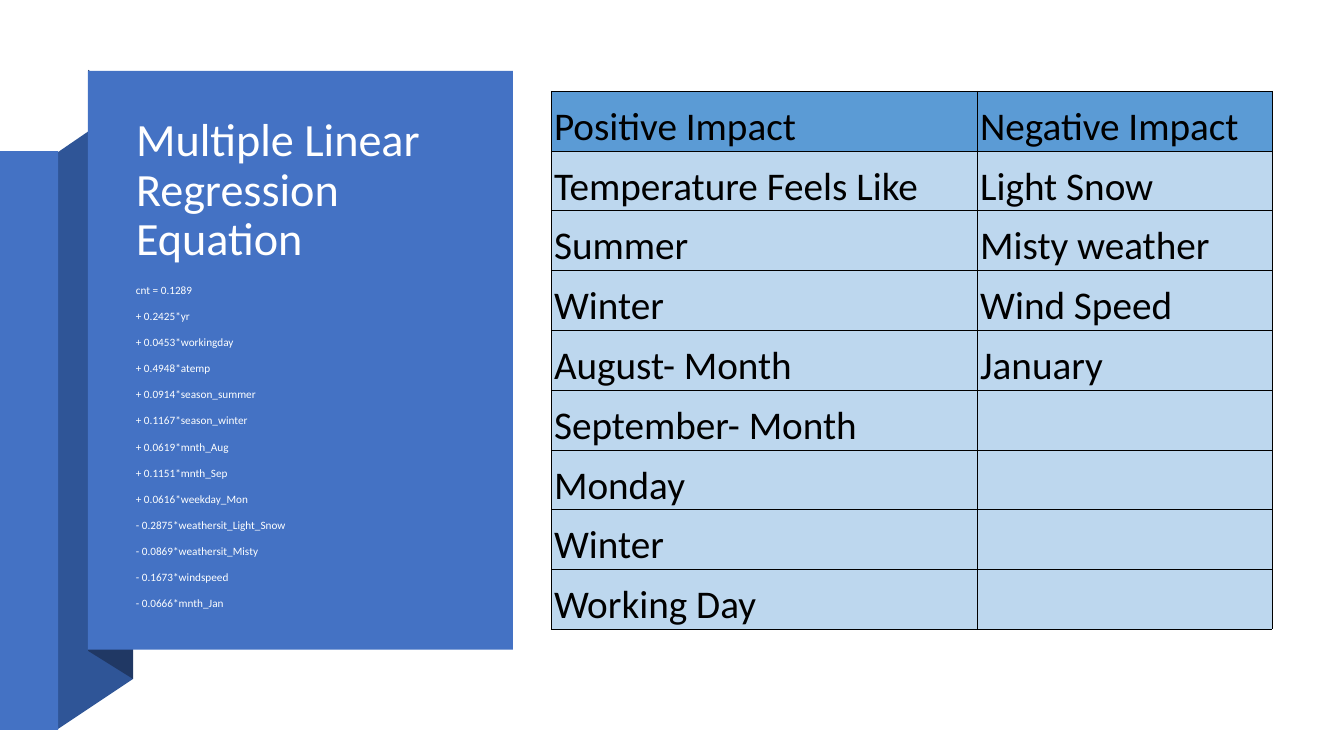
from lxml import etree
from pptx import Presentation
from pptx.dml.color import RGBColor
from pptx.enum.shapes import MSO_SHAPE
from pptx.enum.text import MSO_ANCHOR, MSO_AUTO_SIZE, PP_ALIGN
from pptx.oxml.ns import qn
from pptx.util import Pt

RECTANGLE = MSO_SHAPE.RECTANGLE
MIDDLE, BOTTOM = MSO_ANCHOR.MIDDLE, MSO_ANCHOR.BOTTOM
NO_AUTOFIT = MSO_AUTO_SIZE.NONE
LEFT = PP_ALIGN.LEFT

FONT = "Calibri"
COLORS = {
    "panel": "4472C4", "ribbon": "2F5597", "fold": "203864",
    "title": "FFFFFF", "equation": "FEFFFF", "cell_text": "000000",
    "border": "000000", "header": "5B9BD5", "cell": "BDD7EE",
}

TITLE = "Multiple Linear Regression Equation"
EQUATION = [
    "cnt = 0.1289",
    "+ 0.2425*yr",
    "+ 0.0453*workingday",
    "+ 0.4948*atemp",
    "+ 0.0914*season_summer",
    "+ 0.1167*season_winter",
    "+ 0.0619*mnth_Aug",
    "+ 0.1151*mnth_Sep",
    "+ 0.0616*weekday_Mon",
    "- 0.2875*weathersit_Light_Snow",
    "- 0.0869*weathersit_Misty",
    "- 0.1673*windspeed",
    "- 0.0666*mnth_Jan",
]
IMPACTS = [
    ("Positive Impact", "Negative Impact"),
    ("Temperature Feels Like", "Light Snow"),
    ("Summer", "Misty weather"),
    ("Winter", "Wind Speed"),
    ("August- Month", "January"),
    ("September- Month", ""),
    ("Monday", ""),
    ("Winter", ""),
    ("Working Day", ""),
]

# Lengths in points
SLIDE_SIZE = (960, 540)
RIBBON = [(41.4, 521.4), (95, 484.8), (95, 72), (41.4, 108.6)]
RIBBON_END = (0, 108, 41.6, 413.4)
FOLD = [(63, 465), (95.2, 485), (95.2, 71), (63, 50.4)]
PANEL = (62.8, 50.6, 303.6, 413.4)
TITLE_BOX = (90, 78.5, 250.5, 116)
EQUATION_BOX = (90, 200, 252, 235.5)
TABLE_LEFT, TABLE_TOP = 393.8, 65.2
COLUMN_WIDTHS = (304.4, 210.4)
ROW_HEIGHT = 42.7


def color(name):
    return RGBColor.from_string(COLORS[name])


def paint(shape, name):
    shape.shadow.inherit = False
    shape.fill.solid()
    shape.fill.fore_color.rgb = color(name)
    shape.line.fill.background()


def add_outline(slide, points, name):
    builder = slide.shapes.build_freeform(*points[0], scale=Pt(1))
    builder.add_line_segments(points[1:], close=True)
    paint(builder.convert_to_shape(), name)


def add_rectangle(slide, area, name):
    paint(slide.shapes.add_shape(RECTANGLE, *map(Pt, area)), name)


def format_runs(para, size, name):
    for span in para.runs:
        span.font.name = FONT
        span.font.size = Pt(size)
        span.font.color.rgb = color(name)


def set_title(slide):
    box = slide.shapes.title
    box.left, box.top, box.width, box.height = map(Pt, TITLE_BOX)
    frame = box.text_frame
    frame.text = TITLE
    frame.auto_size = NO_AUTOFIT
    frame.vertical_anchor = MIDDLE
    para = frame.paragraphs[0]
    para.alignment = LEFT
    para.line_spacing = 0.9
    format_runs(para, 33, "title")


def add_equation(slide):
    frame = slide.shapes.add_textbox(*map(Pt, EQUATION_BOX)).text_frame
    frame.word_wrap = True
    frame.text = "\n".join(EQUATION)
    for para in frame.paragraphs:
        para.line_spacing = 0.9
        para.space_before = Pt(10)
        format_runs(para, 8, "equation")


def add_borders(cell):
    properties = cell._tc.get_or_add_tcPr()
    for side in ("a:lnL", "a:lnR", "a:lnT", "a:lnB"):
        line = etree.SubElement(properties, qn(side), w=str(Pt(0.5)))
        fill = etree.SubElement(line, qn("a:solidFill"))
        etree.SubElement(fill, qn("a:srgbClr"), val=COLORS["border"])


def add_impact_table(slide):
    table = slide.shapes.add_table(
        len(IMPACTS), len(COLUMN_WIDTHS), Pt(TABLE_LEFT), Pt(TABLE_TOP),
        Pt(sum(COLUMN_WIDTHS)), Pt(ROW_HEIGHT * len(IMPACTS))).table
    table.first_row = table.horz_banding = False
    for column, width in zip(table.columns, COLUMN_WIDTHS):
        column.width = Pt(width)
    for r, texts in enumerate(IMPACTS):
        table.rows[r].height = Pt(ROW_HEIGHT)
        for c, text in enumerate(texts):
            cell = table.cell(r, c)
            cell.text = text
            cell.vertical_anchor = BOTTOM
            cell.margin_left = cell.margin_right = cell.margin_top = Pt(2)
            cell.margin_bottom = 0
            format_runs(cell.text_frame.paragraphs[0], 28, "cell_text")
            add_borders(cell)
            cell.fill.solid()
            cell.fill.fore_color.rgb = color("cell" if r else "header")


def main():
    deck = Presentation()
    deck.slide_width, deck.slide_height = map(Pt, SLIDE_SIZE)
    slide = deck.slides.add_slide(deck.slide_layouts.get_by_name("Title Only"))
    add_outline(slide, RIBBON, "ribbon")
    add_rectangle(slide, RIBBON_END, "panel")
    add_outline(slide, FOLD, "fold")
    add_rectangle(slide, PANEL, "panel")
    set_title(slide)
    # The title is created first, so it is moved in front of the panel
    slide.shapes._spTree.append(slide.shapes.title._element)
    add_equation(slide)
    add_impact_table(slide)
    deck.save("out.pptx")


if __name__ == "__main__":
    main()
